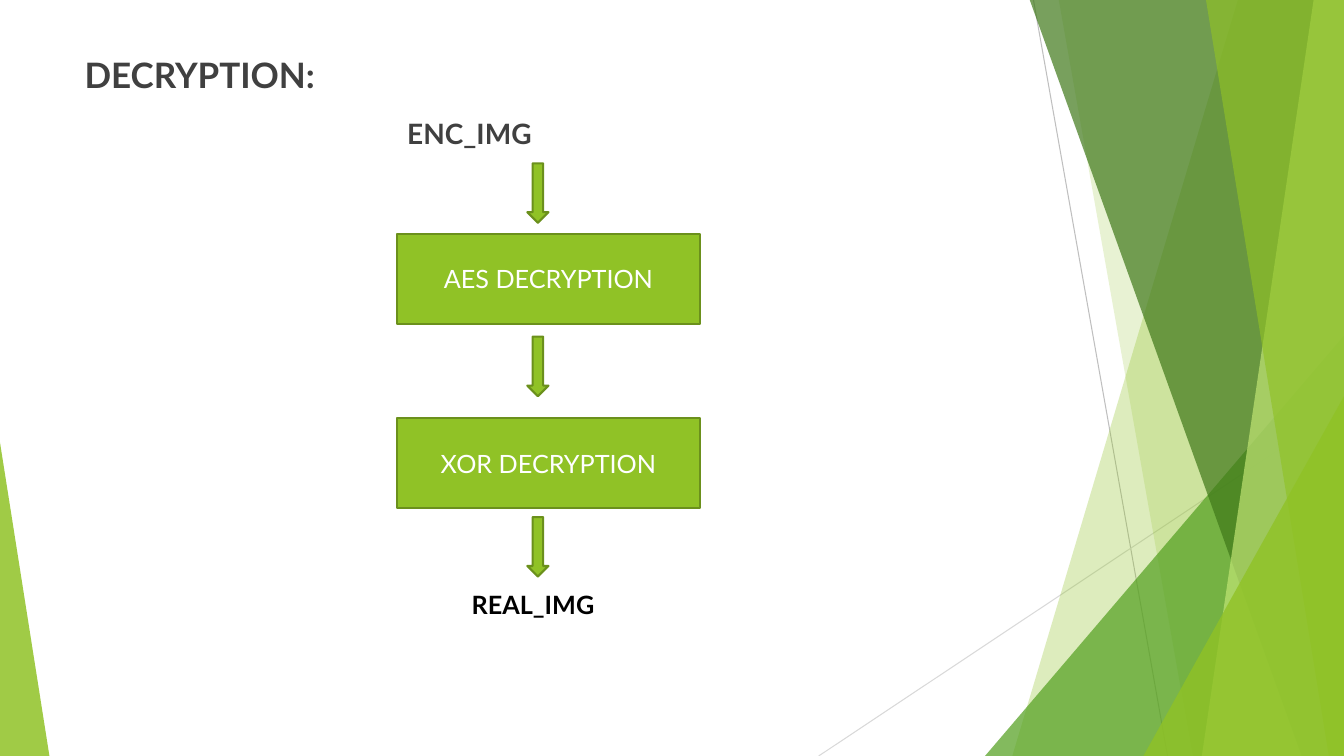
from dataclasses import dataclass

from lxml import etree
from pptx import Presentation
from pptx import util as u
from pptx.dml.color import RGBColor
from pptx.enum import shapes, text
from pptx.oxml.ns import qn

Inches, Pt = u.Inches, u.Pt
WIDTH, HEIGHT, BLEED = 13.33, 7.5, -0.01


@dataclass(frozen=True)
class Theme:
    """Colours, font and type sizes of the slide."""
    font: str = "Lato"
    green: str = "90C226"
    outline: str = "6B901C"
    leaf: str = "54A021"
    forest: str = "3F7819"
    lime: str = "C0E474"
    ray: str = "BFBFBF"
    pale_ray: str = "D9D9D9"
    heading: str = "404040"
    black: str = "000000"
    white: str = "FFFFFF"
    heading_size: int = 25
    input_size: int = 20
    step_size: int = 18


class SlideBuilder:
    """Holds the theme and the slide being drawn."""

    def __init__(self, slide, theme):
        self.slide, self.theme = slide, theme

    def style(self, shape, colour, opacity=100, outline=None):
        """Give a shape a flat fill and an optional outline."""
        shape.shadow.inherit = False
        shape.fill.solid()
        shape.fill.fore_color.rgb = RGBColor.from_string(colour)
        if opacity < 100:
            srgb = shape._element.spPr.find(qn("a:solidFill"))[0]
            etree.SubElement(srgb, qn("a:alpha"), val=str(opacity * 1000))
        if outline:
            shape.line.color.rgb = RGBColor.from_string(outline)
            shape.line.width = Pt(1.5)
        else:
            shape.line.fill.background()

    def set_text(self, paragraph, words, size, colour, bold=False):
        """Set and format the text of a paragraph."""
        paragraph.text = words
        for run in paragraph.runs:
            run.font.name, run.font.size, run.font.bold = self.theme.font, Pt(size), bold
            run.font.color.rgb = RGBColor.from_string(colour)

    def ray(self, start, end, colour):
        """Draw a thin background line."""
        line = self.slide.shapes.add_connector(
            shapes.MSO_CONNECTOR.STRAIGHT, *map(Inches, start + end))
        line.line.color.rgb = RGBColor.from_string(colour)
        line.line.width = Pt(0.75)
        etree.SubElement(line._element.spPr, qn("a:effectLst"))

    def facet(self, top_left, bottom_left, colour, opacity):
        """Draw a translucent panel running to the right edge."""
        corners = [(top_left, BLEED), (WIDTH, BLEED),
                   (WIDTH, HEIGHT), (bottom_left, HEIGHT)]
        points = [(Inches(x), Inches(y)) for x, y in corners]
        outline = self.slide.shapes.build_freeform(*points[0])
        outline.add_line_segments(points[1:], close=True)
        self.style(outline.convert_to_shape(), colour, opacity)

    def corner(self, left, top, width, apex, colour, opacity):
        """Draw a translucent triangle standing on the bottom edge."""
        triangle = self.slide.shapes.add_shape(
            shapes.MSO_SHAPE.ISOSCELES_TRIANGLE,
            *map(Inches, (left, top, width, HEIGHT - top)))
        triangle.adjustments[0] = apex
        self.style(triangle, colour, opacity)

    def label(self, left, top, width, height):
        """Add a wrapping text box and return its text frame."""
        frame = self.slide.shapes.add_textbox(
            *map(Inches, (left, top, width, height))).text_frame
        frame.word_wrap = True
        return frame

    def arrow(self, top):
        """Draw a downward flow arrow."""
        arrow = self.slide.shapes.add_shape(
            shapes.MSO_SHAPE.DOWN_ARROW, *map(Inches, (5.23, top, 0.21, 0.59)))
        self.style(arrow, self.theme.green, outline=self.theme.outline)

    def step(self, top, words):
        """Draw a process box with a centred caption."""
        box = self.slide.shapes.add_shape(
            shapes.MSO_SHAPE.RECTANGLE, *map(Inches, (3.94, top, 3, 0.89)))
        self.style(box, self.theme.green, outline=self.theme.outline)
        box.text_frame.vertical_anchor = text.MSO_ANCHOR.MIDDLE
        caption = box.text_frame.paragraphs[0]
        self.set_text(caption, words, self.theme.step_size, self.theme.white)
        caption.alignment = text.PP_ALIGN.CENTER


def draw_background(builder):
    """Draw the faceted decoration on both sides."""
    theme = builder.theme
    builder.ray((10.25, 0), (11.58, HEIGHT), theme.ray)
    builder.ray((WIDTH, 4.03), (8.12, HEIGHT), theme.pale_ray)
    builder.facet(12.28, 10.04, theme.green, 30)
    builder.facet(10.5, 11.83, theme.green, 20)
    builder.corner(9.77, 3.33, 3.56, 1, theme.leaf, 72)
    builder.facet(10.21, 12.91, theme.forest, 70)
    builder.facet(13.03, 11.92, theme.lime, 70)
    builder.facet(11.96, 13.18, theme.green, 65)
    builder.corner(11.34, 3.93, 1.99, 1, theme.green, 80)
    builder.corner(0, 4.39, 0.49, 0, theme.green, 85)


def draw_flow(builder):
    """Draw the heading and the decryption flow."""
    theme = builder.theme
    body = builder.label(0.74, 0.48, 9.4, 6.11)
    builder.set_text(body.paragraphs[0], "DECRYPTION:", theme.heading_size, theme.heading, True)
    source = body.add_paragraph()
    builder.set_text(source, "ENC_IMG", theme.input_size, theme.heading, True)
    source.space_before = Pt(15)
    source._p.get_or_add_pPr().set("marL", str(Inches(3.2)))

    for top in (1.62, 3.34, 5.13):
        builder.arrow(top)
    for top, words in ((2.32, "AES DECRYPTION"), (4.15, "XOR DECRYPTION")):
        builder.step(top, words)
    result = builder.label(4.58, 5.8, 1.72, 0.4)
    builder.set_text(result.paragraphs[0], "REAL_IMG", theme.step_size, theme.black, True)


deck = Presentation()
deck.slide_width, deck.slide_height = Inches(WIDTH), Inches(HEIGHT)
page = SlideBuilder(deck.slides.add_slide(deck.slide_layouts[6]), Theme())
draw_background(page)
draw_flow(page)
deck.save("out.pptx")
